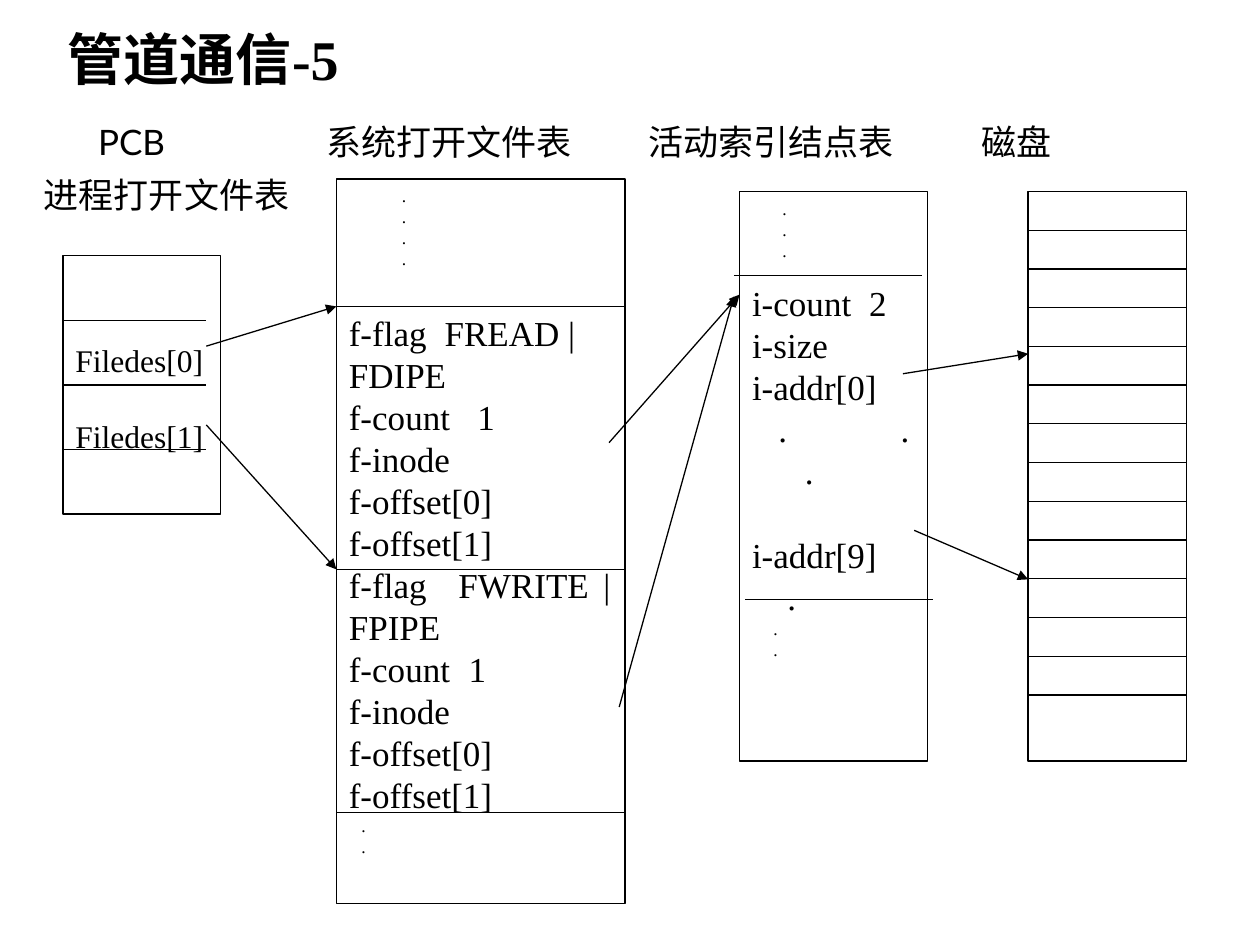
from collections import namedtuple

from lxml import etree
from pptx import Presentation
from pptx.dml.color import RGBColor
from pptx.enum.shapes import MSO_CONNECTOR, MSO_SHAPE
from pptx.enum.text import MSO_ANCHOR, PP_ALIGN
from pptx.oxml.ns import qn
from pptx.util import Inches, Pt

RECT = MSO_SHAPE.RECTANGLE
STRAIGHT = MSO_CONNECTOR.STRAIGHT
LEFT = PP_ALIGN.LEFT
TOP, BOTTOM = MSO_ANCHOR.TOP, MSO_ANCHOR.BOTTOM

COLORS = {"ink": "000000", "paper": "FFFFFF"}
SERIF, SANS = "Times New Roman", "Lato"
DOT, ENTRY, FIELD = 10, 18, 20  # text sizes in the tables

Box = namedtuple("Box", "left top width height")
# Gap is in points; indent and tabs are in inches.
Row = namedtuple("Row", "text size indent gap tabs", defaults=(FIELD, 0, 0, ()))

TITLE = Box(0.44, 0.25, 8.5, 0.5)
HEADINGS = Box(0.25, 0.9, 9.5, 0.9)
PROCESS = Box(0.5, 2.03, 1.25, 2.05)
SYSTEM = Box(2.67, 1.42, 2.29, 5.75)
INODES = Box(5.87, 1.52, 1.49, 4.52)
DISK = Box(8.16, 1.52, 1.26, 4.52)

DISK_ROW = 0.068  # share of the disk's height


def color(name):
    return RGBColor.from_string(COLORS[name])


def point(box, across, down):
    """Turn shares of a box into a place on the slide."""
    return Inches(box.left + across * box.width), Inches(box.top + down * box.height)


def write_rows(frame, rows, font=SERIF, leading=1.2, bold=False):
    frame.word_wrap = True
    for index, row in enumerate(rows):
        paragraph = frame.paragraphs[0] if index == 0 else frame.add_paragraph()
        paragraph.text = row.text
        paragraph.alignment = LEFT
        paragraph.line_spacing = Pt(row.size * leading)
        if row.gap:
            paragraph.space_before = Pt(row.gap)
        properties = paragraph._p.get_or_add_pPr()
        properties.set("marL", str(Inches(row.indent)))
        if row.tabs:
            stops = etree.SubElement(properties, qn("a:tabLst"))
            for stop in row.tabs:
                etree.SubElement(stops, qn("a:tab"), pos=str(Inches(stop)), algn="l")
        paragraph.font.size = Pt(row.size)
        paragraph.font.name = font
        paragraph.font.bold = bold
        paragraph.font.color.rgb = color("ink")


def add_line(slide, start, end, arrow=False):
    line = slide.shapes.add_connector(STRAIGHT, *start, *end)
    line.line.color.rgb = color("ink")
    line.line.width = Pt(0.75)
    if arrow:
        etree.SubElement(line.line._get_or_add_ln(), qn("a:tailEnd"), type="triangle")
    etree.SubElement(line._element.spPr, qn("a:effectLst"))


def add_frame(slide, box, rows=(), top_margin=0.05):
    frame = slide.shapes.add_shape(RECT, *map(Inches, box))
    frame.shadow.inherit = False
    frame.fill.solid()
    frame.fill.fore_color.rgb = color("paper")
    frame.line.color.rgb = color("ink")
    frame.line.width = Pt(0.75)
    frame.text_frame.vertical_anchor = TOP
    frame.text_frame.margin_top = Inches(top_margin)
    write_rows(frame.text_frame, rows)


def add_rules(slide, box, heights, start=0, end=1):
    for height in heights:
        add_line(slide, point(box, start, height), point(box, end, height))


def add_title(slide, box):
    frame = slide.shapes.add_textbox(*map(Inches, box)).text_frame
    frame.vertical_anchor = BOTTOM
    frame.margin_bottom = Inches(0.02)
    write_rows(frame, [Row("管道通信-5", 32)], bold=True)


def add_headings(slide, box):
    frame = slide.shapes.add_textbox(*map(Inches, box)).text_frame
    write_rows(frame, [
        Row("\tPCB\t系统打开文件表\t活动索引结点表\t磁盘", tabs=(0.43, 2.24, 4.8, 7.44)),
        Row("进程打开文件表", gap=5),
    ], font=SANS, leading=1.24)


def add_process_table(slide, box):
    entries = [Row("Filedes[0]", ENTRY), Row("Filedes[1]", ENTRY, gap=ENTRY * 1.2)]
    add_frame(slide, box, entries, top_margin=0.68)
    add_rules(slide, box, (0.25, 0.5, 0.75), end=0.91)


def file_entry(flags, flag_tabs, count_tab, gap=0):
    return [
        Row(f"f-flag\t{flags}", gap=gap, tabs=flag_tabs),
        Row("f-count\t1", tabs=(count_tab,)),
        *map(Row, ("f-inode", "f-offset[0]", "f-offset[1]")),
    ]


def add_system_table(slide, box):
    add_frame(slide, box, [
        *[Row(".", DOT, 0.42)] * 4,
        *file_entry("FREAD | FDIPE", (0.76,), 1.02, gap=24),
        *file_entry("FWRITE\t| FPIPE", (0.87, 2.02), 0.95),
        *[Row(".", DOT, 0.1)] * 2,
    ])
    add_rules(slide, box, (0.176, 0.539, 0.875))


def add_inode_table(slide, box):
    add_frame(slide, box, [
        *[Row(".", DOT, 0.24)] * 3,
        Row("i-count\t2", gap=12, tabs=(0.93,)),
        Row("i-size"),
        Row("i-addr[0]"),
        Row("\t.\t.", tabs=(0.21, 1.18)),
        Row(".", indent=0.42),
        Row("i-addr[9]", gap=24),
        Row(".", indent=0.28),
        *[Row(".", DOT, 0.17)] * 2,
    ])
    add_rules(slide, box, [0.148], -0.03, 0.97)
    add_rules(slide, box, [0.717], 0.03, 1.03)


def add_disk(slide, box):
    add_frame(slide, box)
    add_rules(slide, box, [DISK_ROW * row for row in range(1, 14)])


def add_pointers(slide):
    pointers = [
        ((PROCESS, 0.91, 0.35), (SYSTEM, 0, 0.176)),
        ((PROCESS, 0.91, 0.655), (SYSTEM, 0, 0.539)),
        ((SYSTEM, 0.945, 0.364), (INODES, 0, 0.181)),
        ((SYSTEM, 0.98, 0.729), (INODES, -0.03, 0.184)),
        ((INODES, 0.87, 0.32), (DISK, 0, 0.285)),
        ((INODES, 0.93, 0.595), (DISK, 0, 0.681)),
    ]
    for source, target in pointers:
        add_line(slide, point(*source), point(*target), arrow=True)


def main():
    deck = Presentation()
    deck.slide_width, deck.slide_height = Inches(10), Inches(7.5)
    slide = deck.slides.add_slide(deck.slide_layouts[6])
    add_title(slide, TITLE)
    add_headings(slide, HEADINGS)
    add_process_table(slide, PROCESS)
    add_system_table(slide, SYSTEM)
    add_inode_table(slide, INODES)
    add_disk(slide, DISK)
    add_pointers(slide)
    deck.save("out.pptx")


if __name__ == "__main__":
    main()
